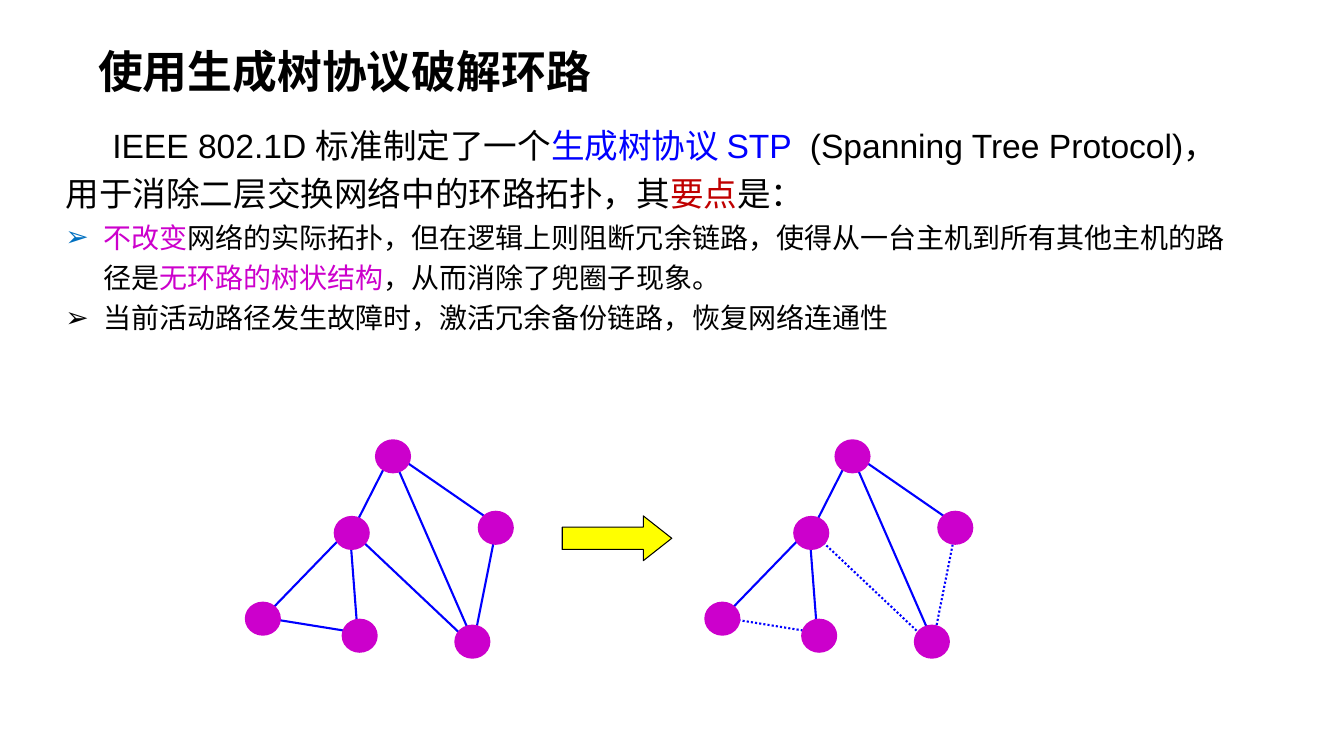
from dataclasses import dataclass

from lxml.etree import SubElement
from pptx import Presentation
from pptx.dml.color import RGBColor
from pptx.enum.dml import MSO_LINE
from pptx.enum.shapes import MSO_CONNECTOR, MSO_SHAPE
from pptx.enum.text import MSO_AUTO_SIZE, PP_ALIGN
from pptx.oxml.ns import qn
from pptx.util import Cm, Pt


@dataclass(frozen=True)
class Theme:
    font: str = "Arial"
    text: str = "000000"
    protocol: str = "0000FF"
    keyword: str = "C00000"
    accent: str = "CC00CC"
    bullet: str = "0070C0"
    arrow: str = "FFFF00"
    title_size: int = 32
    lead_size: int = 24
    bullet_size: int = 20
    line_spacing: float = 1.2
    link_width: float = 1.5
    outline_width: float = 0.75


THEME = Theme()

TITLE = "使用生成树协议破解环路"
LEAD = [
    ("IEEE 802.1D 标准制定了一个", THEME.text),
    ("生成树协议 STP  ", THEME.protocol),
    ("(Spanning Tree Protocol)，用于消除二层交换网络中的环路拓扑，其", THEME.text),
    ("要点", THEME.keyword),
    ("是：", THEME.text),
]
POINTS = [
    (THEME.bullet, [
        ("不改变", THEME.accent),
        ("网络的实际拓扑，但在逻辑上则阻断冗余链路，使得从一台主机到所有其他主机的路径是", THEME.text),
        ("无环路的树状结构", THEME.accent),
        ("，从而消除了兜圈子现象。", THEME.text),
    ]),
    (THEME.text, [("当前活动路径发生故障时，激活冗余备份链路，恢复网络连通性", THEME.text)]),
]

NODE_SIZE = (0.91, 0.86)
NODES = [(3.28, 0), (5.87, 1.8), (5.28, 4.67), (0, 4.09), (2.44, 4.52), (2.24, 1.93)]
TREE_LINKS = [
    (3.66, 0.43, 2.69, 2.34),
    (3.86, 0.43, 6.32, 2.13),
    (3.86, 0.74, 5.61, 4.75),
    (0.64, 4.32, 2.44, 2.46),
    (2.84, 4.85, 2.64, 2.24),
]
SPARE_LINKS = [
    (2.69, 2.31, 5.38, 4.85),
    (6.32, 2.34, 5.79, 5.0),
    (2.69, 4.85, 0.64, 4.52),
]


def rgb(value):
    return RGBColor.from_string(value)


def apply(target, values):
    for name, value in values.items():
        setattr(target, name, value)


def add_runs(p, parts, size, bold=False):
    p.line_spacing = THEME.line_spacing
    for text, color in parts:
        r = p.add_run()
        r.text = text
        apply(r.font, {"name": THEME.font, "size": Pt(size), "bold": bold})
        r.font.color.rgb = rgb(color)


def set_indent(p, left, first):
    pPr = p._p.get_or_add_pPr()
    pPr.set("marL", str(Cm(left)))
    pPr.set("indent", str(Cm(first)))
    return pPr


def add_bullet(p, color):
    pPr = set_indent(p, 0.95, -0.95)
    SubElement(SubElement(pPr, qn("a:buClr")), qn("a:srgbClr")).set("val", color)
    SubElement(pPr, qn("a:buFont")).set("typeface", THEME.font)
    SubElement(pPr, qn("a:buChar")).set("char", "➢")


def add_text_frame(s, box, wrap):
    tf = s.shapes.add_textbox(*map(Cm, box)).text_frame
    apply(tf, {"word_wrap": wrap, "auto_size": MSO_AUTO_SIZE.SHAPE_TO_FIT_TEXT})
    return tf


def add_title(s, box):
    p = add_text_frame(s, box, False).paragraphs[0]
    p.alignment = PP_ALIGN.CENTER
    add_runs(p, [(TITLE, THEME.text)], THEME.title_size, True)


def add_body(s, box):
    tf = add_text_frame(s, box, True)
    p = tf.paragraphs[0]
    set_indent(p, 0, 1.18)
    add_runs(p, LEAD, THEME.lead_size)
    for color, parts in POINTS:
        p = tf.add_paragraph()
        add_bullet(p, color)
        add_runs(p, parts, THEME.bullet_size)


def add_filled(shapes, kind, box, color):
    sp = shapes.add_shape(kind, *map(Cm, box))
    sp.shadow.inherit = False
    sp.fill.solid()
    sp.fill.fore_color.rgb = rgb(color)
    return sp


def add_arrow(s, box):
    sp = add_filled(s.shapes, MSO_SHAPE.RIGHT_ARROW, box, THEME.arrow)
    sp.adjustments[1] = 0.635
    sp.line.color.rgb = rgb(THEME.text)
    sp.line.width = Pt(THEME.outline_width)


def add_link(shapes, left, top, link, dash):
    x1, y1, x2, y2 = link
    ends = (left + x1, top + y1, left + x2, top + y2)
    line = shapes.add_connector(MSO_CONNECTOR.STRAIGHT, *map(Cm, ends))
    line.line.color.rgb = rgb(THEME.protocol)
    apply(line.line, {"width": Pt(THEME.link_width), "dash_style": dash})
    SubElement(line._element.spPr, qn("a:effectLst"))


def add_topology(s, left, top, spare_dash):
    shapes = s.shapes.add_group_shape().shapes
    for links, dash in ((TREE_LINKS, None), (SPARE_LINKS, spare_dash)):
        for link in links:
            add_link(shapes, left, top, link, dash)
    for x, y in NODES:
        box = (left + x, top + y, *NODE_SIZE)
        sp = add_filled(shapes, MSO_SHAPE.OVAL, box, THEME.accent)
        sp.line.fill.background()


def main():
    prs = Presentation()
    apply(prs, {"slide_width": Cm(33.87), "slide_height": Cm(19.05)})
    s = prs.slides.add_slide(prs.slide_layouts[6])
    add_body(s, (1.4, 2.82, 29.97, 6.91))
    add_title(s, (2.16, 0.71, 13.06, 1.75))
    add_arrow(s, (14.17, 13.0, 2.76, 1.13))
    add_topology(s, 6.17, 11.07, None)
    add_topology(s, 17.75, 11.07, MSO_LINE.ROUND_DOT)
    prs.save("out.pptx")


if __name__ == "__main__":
    main()
